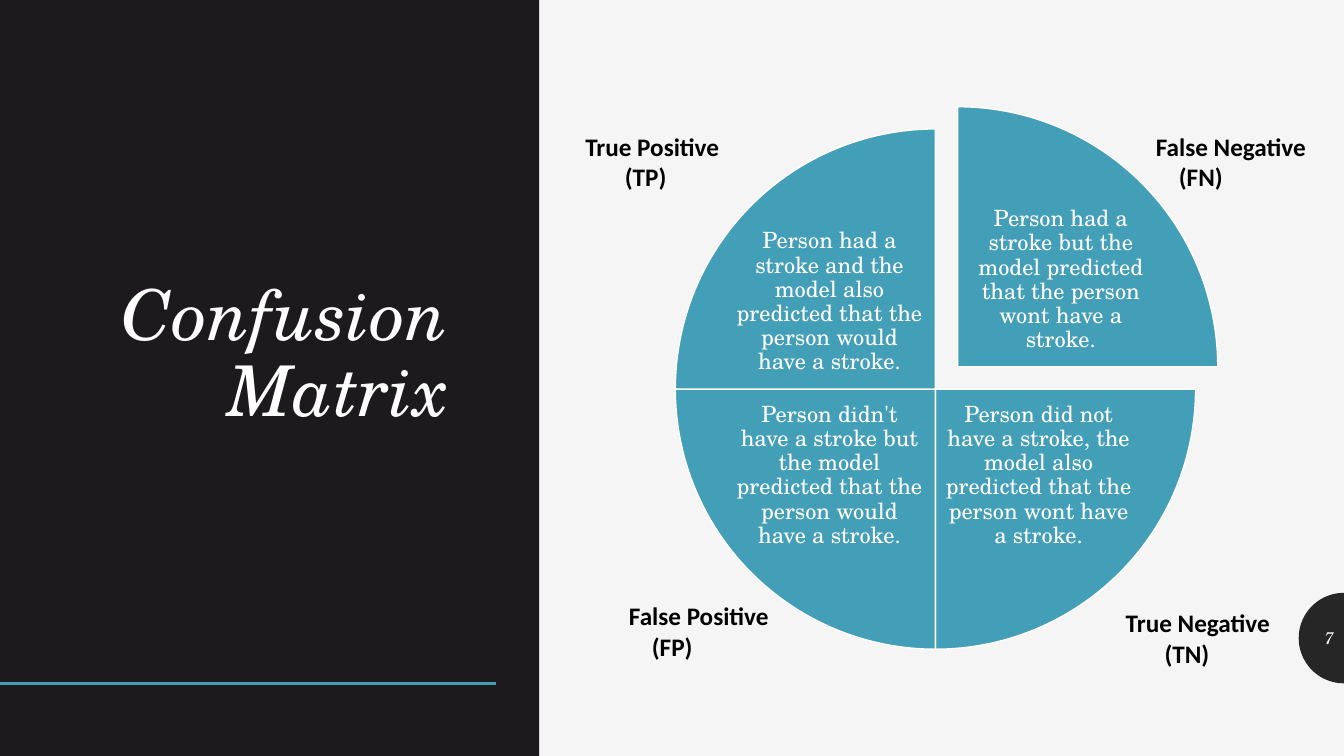
"""Build the confusion matrix slide with its four pie quarters."""
from math import cos, pi, sin

from lxml.etree import SubElement
from pptx import Presentation
from pptx.dml.color import RGBColor
from pptx.enum.shapes import MSO_CONNECTOR, MSO_SHAPE
from pptx.enum.text import MSO_ANCHOR as Anchor, MSO_AUTO_SIZE as AutoSize, PP_ALIGN as Align
from pptx.oxml.ns import qn
from pptx.util import Cm, Pt

DARK = RGBColor(0x1D, 0x1A, 0x1D)
CHARCOAL = RGBColor(0x26, 0x26, 0x26)
TEAL = RGBColor(0x43, 0x9E, 0xB7)
PALE = RGBColor(0xF5, 0xF5, 0xF5)
WHITE = RGBColor(0xFF, 0xFF, 0xFF)
BLACK = RGBColor(0, 0, 0)
SERIF = "TeX Gyre Schola"
SANS = "Calibri"

SLIDE_WIDTH, SLIDE_HEIGHT = 33.87, 19.05
PIE_LEFT, PIE_TOP, PIE_SIZE = 17.02, 3.25, 13.11
COLUMNS, ROWS = (18.49, 23.76), (5.66, 10.03)
EXPLOSION = 0.56
QUARTER = 54

QUARTERS = [
    (1, 0, 162, EXPLOSION,
     "Person had a stroke but the model predicted that the person wont have a stroke."),
    (1, 1, 0, 0,
     "Person did not have a stroke, the model also predicted that the person wont have a stroke."),
    (0, 1, 54, 0,
     "Person didn't have a stroke but the model predicted that the person would have a stroke."),
    (0, 0, 108, 0,
     "Person had a stroke and the model also predicted that the person would have a stroke."),
]
LABELS = [
    (14.5, 3.18, 4.88, "True Positive\n(TP)", (0, 1)),
    (15.6, 15.01, 4.29, "False Positive\n(FP)", (0, 0.58)),
    (28.88, 3.18, 4.98, "False Negative\n(FN)", (0, 0.58)),
    (27.66, 15.19, 5.66, "True Negative\n(TN)", (0.46, 1.44)),
]


def format_text(shape, text, size, color, font=SERIF, align=Align.LEFT,
                anchor=Anchor.TOP, italic=False, bold=False, spacing=1.0):
    """Fill a shape with uniformly formatted, wrapped text."""
    frame = shape.text_frame
    frame.text = text
    frame.word_wrap = True
    frame.auto_size = AutoSize.NONE
    frame.vertical_anchor = anchor
    for paragraph in frame.paragraphs:
        paragraph.alignment = align
        paragraph.line_spacing = spacing
        for run in paragraph.runs:
            run.font.name = font
            run.font.size = Pt(size)
            run.font.color.rgb = color
            run.font.italic = italic
            run.font.bold = bold


def add_text(slide, left, top, width, height, text, size, color, **style):
    """Add a formatted text box."""
    box = slide.shapes.add_textbox(Cm(left), Cm(top), Cm(width), Cm(height))
    format_text(box, text, size, color, **style)
    return box


def paint(shape, fill, line=None):
    """Give a shape a solid fill and an optional thin outline."""
    shape.shadow.inherit = False
    shape.fill.solid()
    shape.fill.fore_color.rgb = fill
    if line is None:
        shape.line.fill.background()
    else:
        shape.line.color.rgb = line
        shape.line.width = Pt(1)


def add_title_panel(slide):
    """Add the dark panel, its accent line and the title."""
    panel = slide.shapes.add_shape(MSO_SHAPE.RECTANGLE, 0, 0, Cm(13.59), Cm(SLIDE_HEIGHT))
    paint(panel, DARK)
    accent = slide.shapes.add_connector(
        MSO_CONNECTOR.STRAIGHT, 0, Cm(17.22), Cm(12.5), Cm(17.22))
    accent.line.color.rgb = TEAL
    accent.line.width = Pt(2)
    SubElement(accent._element.spPr, qn("a:effectLst"))
    title = slide.shapes.title
    title.left, title.top, title.width, title.height = Cm(0.91), Cm(4.75), Cm(10.64), Cm(6.25)
    format_text(title, "Confusion Matrix", 50, WHITE, align=Align.RIGHT,
                anchor=Anchor.BOTTOM, italic=True, spacing=0.9)
    accent._element.addnext(title._element)


def add_page_badge(slide):
    """Add the half disc at the right edge with the page number."""
    radius, center_y, steps = 1.14, 16.08, 48
    angles = [pi / 2 + pi * step / steps for step in range(steps + 1)]
    points = [(Cm(SLIDE_WIDTH + radius * cos(angle)), Cm(center_y + radius * sin(angle)))
              for angle in angles]
    builder = slide.shapes.build_freeform(*points[0])
    builder.add_line_segments(points[1:], close=True)
    paint(builder.convert_to_shape(), CHARCOAL)
    add_text(slide, SLIDE_WIDTH - radius, 15.57, radius, 1.02, "7", 12, PALE,
             align=Align.RIGHT, anchor=Anchor.MIDDLE, italic=True)


def add_quarter(slide, column, row, start, shift, text):
    """Add one pie quarter, moved outward by shift, with its text."""
    quarter = slide.shapes.add_shape(
        MSO_SHAPE.PIE, Cm(PIE_LEFT + shift), Cm(PIE_TOP - shift), Cm(PIE_SIZE), Cm(PIE_SIZE))
    quarter.adjustments[0] = start
    quarter.adjustments[1] = (start + QUARTER) % (4 * QUARTER)
    paint(quarter, TEAL, WHITE)
    box = add_text(slide, COLUMNS[column] + shift, ROWS[row] - shift, 4.83, 3.91, text,
                   16, WHITE, align=Align.CENTER, anchor=Anchor.MIDDLE, spacing=0.9)
    frame = box.text_frame
    frame.margin_left = frame.margin_right = frame.margin_top = frame.margin_bottom = Cm(0.05)


def add_label(slide, left, top, width, text, indents):
    """Add a bold outcome label with an indent for each line."""
    box = add_text(slide, left, top, width, 1.8, text, 18, BLACK, font=SANS, bold=True)
    for paragraph, indent in zip(box.text_frame.paragraphs, indents):
        paragraph._p.get_or_add_pPr().set("marL", str(Cm(indent)))


def main():
    """Assemble and save the slide."""
    presentation = Presentation()
    presentation.slide_width, presentation.slide_height = Cm(SLIDE_WIDTH), Cm(SLIDE_HEIGHT)
    slide = presentation.slides.add_slide(presentation.slide_layouts[5])
    slide.background.fill.solid()
    slide.background.fill.fore_color.rgb = PALE
    add_title_panel(slide)
    add_page_badge(slide)
    for quarter in QUARTERS:
        add_quarter(slide, *quarter)
    for label in LABELS:
        add_label(slide, *label)
    presentation.save("out.pptx")


if __name__ == "__main__":
    main()
